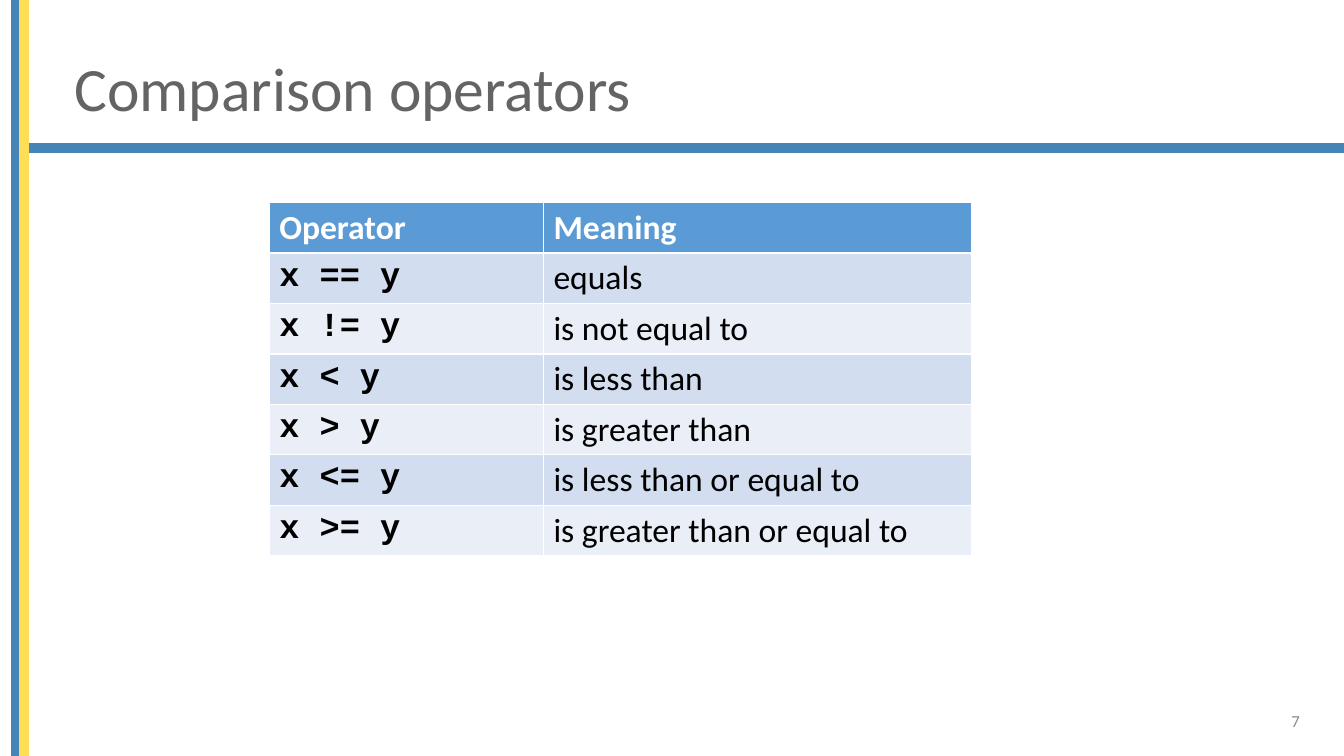
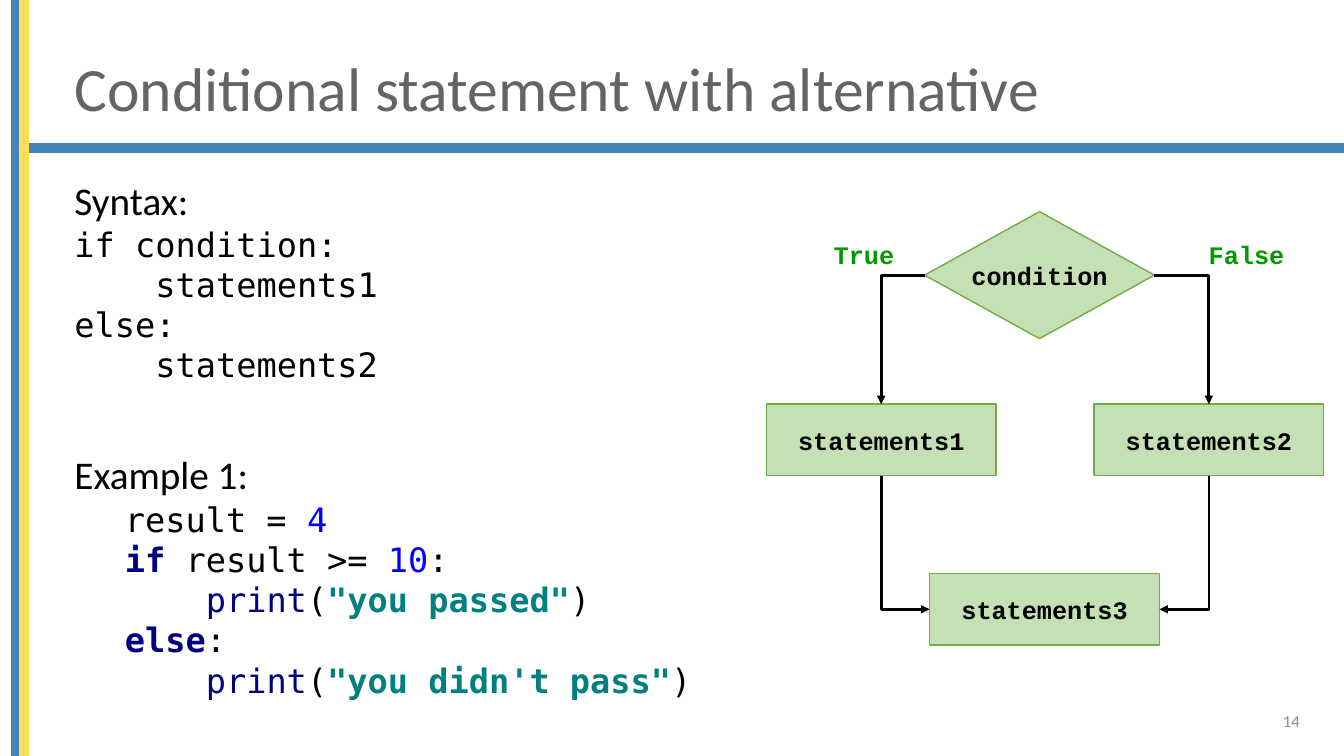
from pptx import Presentation
from pptx.dml.color import RGBColor
from pptx.enum.shapes import MSO_CONNECTOR, MSO_SHAPE
from pptx.enum.text import MSO_ANCHOR, PP_ALIGN
from pptx.oxml.ns import qn
from pptx.util import Inches, Pt
from lxml.etree import SubElement

COLORS = {name: RGBColor.from_string(code) for name, code in {
    "blue": "4584B6", "yellow": "FFDE57", "title": "646464", "number": "8C8C8C",
    "black": "000000", "white": "FFFFFF", "header": "5B9BD5", "odd": "D2DEEF",
    "even": "EAEFF7", "node": "C5E0B4", "edge": "70AD47", "branch": "009900",
    "value": "0000FF", "keyword": "000080", "string": "008080"}.items()}
SANS, COURIER, MONO = "Calibri", "Courier New", "DejaVu Sans Mono"
WIDTH, HEIGHT = 13.33, 7.5
MARGIN, BAR = 0.64, 0.08

prs = Presentation()
prs.slide_width, prs.slide_height = Inches(WIDTH), Inches(HEIGHT)


def write(tf, text, size, color, name=SANS, bold=False, align=PP_ALIGN.LEFT):
    """Fill the first paragraph of a text frame and style it."""
    p = tf.paragraphs[0]
    p.text, p.alignment = text, align
    p.font.size, p.font.name, p.font.bold = Pt(size), name, bold
    p.font.color.rgb = COLORS[color]
    return p


def add_shape(s, kind, box, fill, line):
    """Add a flat preset shape with a thin outline."""
    sp = s.shapes.add_shape(kind, *map(Inches, box))
    sp.shadow.inherit = False
    sp.fill.solid()
    sp.fill.fore_color.rgb = COLORS[fill]
    sp.line.color.rgb = COLORS[line]
    sp.line.width = Pt(1)
    return sp


# Shared frame: bands, title and slide number
slides = []
for title, number in (("Comparison operators", "7"),
                      ("Conditional statement with alternative", "14")):
    s = prs.slides.add_slide(prs.slide_layouts[6])
    for color, box in (("blue", (0.2, 1.43, WIDTH - 0.2, BAR)),
                       ("blue", (0.12, 0, BAR, HEIGHT)),
                       ("yellow", (0.2, 0, BAR, HEIGHT))):
        add_shape(s, MSO_SHAPE.RECTANGLE, box, color, color)
    for text, box, size, color, align in (
            (title, (MARGIN, 0.4, 11.78, 1.01), 44, "title", PP_ALIGN.LEFT),
            (number, (9.99, 6.95, 3, 0.4), 12, "number", PP_ALIGN.RIGHT)):
        tf = s.shapes.add_textbox(*map(Inches, box)).text_frame
        tf.word_wrap = True
        tf.vertical_anchor = MSO_ANCHOR.MIDDLE
        p = write(tf, text, size, color, align=align)
        if text == title:
            p.line_spacing = 0.9
    slides.append(s)
operators_slide, condition_slide = slides

# Table of operators
rows = [("Operator", "Meaning"), ("x == y", "equals"), ("x != y", "is not equal to"),
        ("x < y", "is less than"), ("x > y", "is greater than"),
        ("x <= y", "is less than or equal to"), ("x >= y", "is greater than or equal to")]
col_widths = (2.72, 4.25)
table = operators_slide.shapes.add_table(
    len(rows), 2, Inches(2.67), Inches(2.01),
    Inches(sum(col_widths)), Inches(0.5 * len(rows))).table
for col, width in zip(table.columns, col_widths):
    col.width = Inches(width)
for i, row in enumerate(rows):
    for j, text in enumerate(row):
        cell = table.cell(i, j)
        cell.fill.solid()
        cell.fill.fore_color.rgb = COLORS["header" if i == 0 else "odd" if i % 2 else "even"]
        write(cell.text_frame, text, 24, "white" if i == 0 else "black",
              COURIER if i and j == 0 else SANS, bold=i == 0 or j == 0)

# Syntax and example
s = condition_slide
tf = s.shapes.add_textbox(*map(Inches, (MARGIN, 1.7, 12.35, 5.69))).text_frame
tf.word_wrap = True
write(tf, "Syntax:", 28, "black")
for text, size, name in (("if condition:", 24, MONO), ("    statements1", 24, MONO),
                         ("else:", 24, MONO), ("    statements2", 24, MONO),
                         ("Example 1:", 28, SANS)):
    p = tf.add_paragraph()
    p.text = text
    p.font.size, p.font.name = Pt(size), name
    p.font.color.rgb = COLORS["black"]
p.line_spacing, p.space_before = 0.9, Pt(51)

example = [
    [("result = ", "black"), ("4", "value")],
    [("if ", "keyword"), ("result >= ", "black"), ("10", "value"), (":", "black")],
    [("    ", "black"), ("print", "builtin"), ("(", "black"),
     ('"you passed"', "string"), (")", "black")],
    [("else", "keyword"), (":", "black")],
    [("    ", "black"), ("print", "builtin"), ("(", "black"),
     ('"you didn\'t pass"', "string"), (")", "black")]]
p = tf.add_paragraph()
p.font.size, p.font.name = Pt(24), MONO
p._p.get_or_add_pPr().set("marL", str(Inches(0.5)))
for i, tokens in enumerate(example):
    if i:
        p.add_line_break()
    for text, kind in tokens:
        r = p.add_run()
        r.text = text
        r.font.size, r.font.name = Pt(24), MONO
        r.font.bold = kind in ("keyword", "string")
        r.font.color.rgb = COLORS["keyword" if kind == "builtin" else kind]

# Flowchart
nodes = {}
for text, kind, x, y, height in (
        ("condition", MSO_SHAPE.FLOWCHART_DECISION, 9.17, 2.1, 1.26),
        ("statements1", MSO_SHAPE.RECTANGLE, 7.6, 4.01, 0.71),
        ("statements2", MSO_SHAPE.RECTANGLE, 10.85, 4.01, 0.71),
        ("statements3", MSO_SHAPE.RECTANGLE, 9.22, 5.69, 0.71)):
    sp = add_shape(s, kind, (x, y, 2.28, height), "node", "edge")
    sp.text_frame.word_wrap = False
    sp.text_frame.vertical_anchor = MSO_ANCHOR.MIDDLE
    write(sp.text_frame, text, 18, "black", COURIER, True, PP_ALIGN.CENTER)
    nodes[text] = sp

for text, x, width in (("True", 8.17, 0.81), ("False", 11.89, 0.96)):
    tf = s.shapes.add_textbox(*map(Inches, (x, 2.33, width, 0.4))).text_frame
    tf.word_wrap = False
    write(tf, text, 18, "branch", COURIER, True)

# Each elbow leaves a side of the middle node and meets a branch box from above or below
TOP, LEFT, BOTTOM, RIGHT = range(4)
for middle, site, arrow_end in (("condition", TOP, "a:tailEnd"),
                                ("statements3", BOTTOM, "a:headEnd")):
    for side, branch in ((LEFT, "statements1"), (RIGHT, "statements2")):
        cn = s.shapes.add_connector(MSO_CONNECTOR.ELBOW, 0, 0, 0, 0)
        cn.begin_connect(nodes[middle], side)
        cn.end_connect(nodes[branch], site)
        cn.line.color.rgb = COLORS["black"]
        cn.line.width = Pt(2)
        props = cn._element.spPr
        props.find(qn("a:prstGeom")).set("prst", "bentConnector2")
        SubElement(props.find(qn("a:ln")), qn(arrow_end), type="triangle")
        SubElement(props, qn("a:effectLst"))

prs.save("out.pptx")
